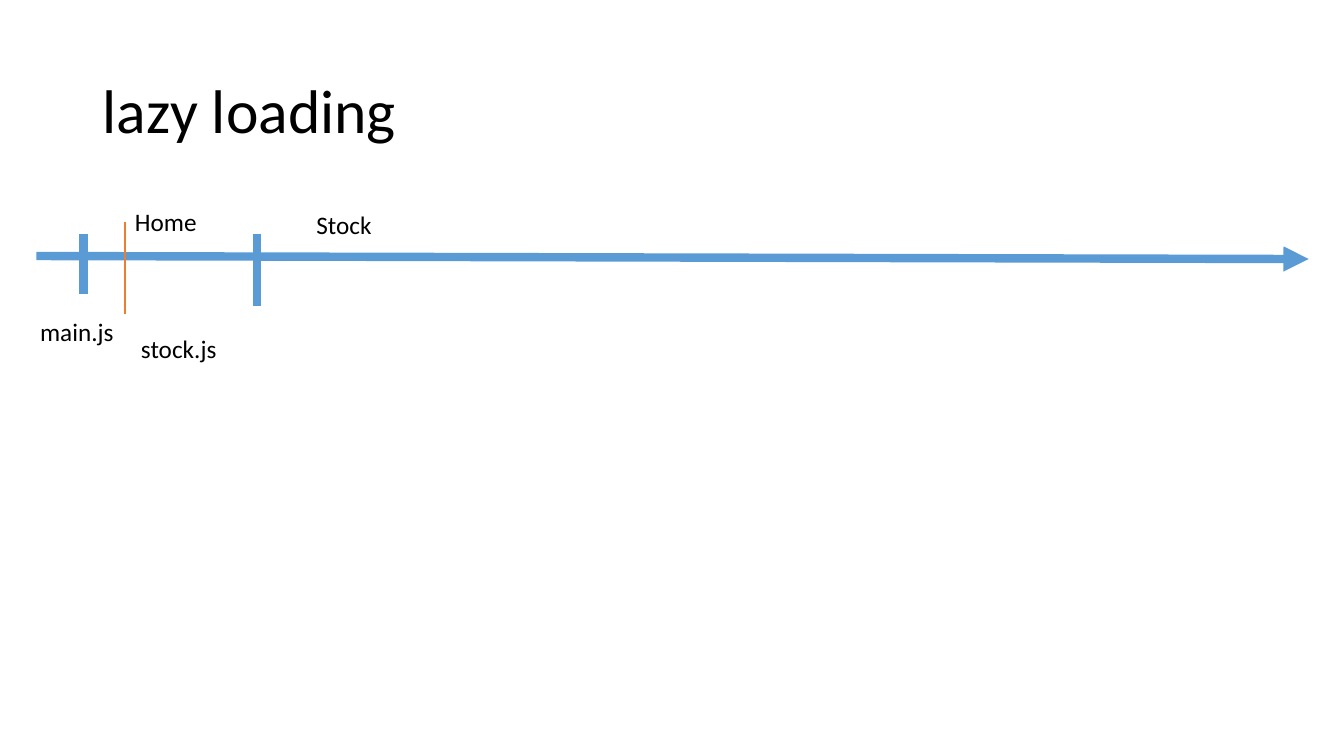
import pptx
import pptx.util
import pptx.dml.color
import pptx.enum.shapes
import pptx.enum.text
import pptx.oxml.ns
import lxml.etree

COLORS = {"text": "000000", "axis": "5B9BD5", "load": "ED7D31"}
FONT = "Calibri"
SLIDE_W, SLIDE_H = 13.33, 7.5
CELL = 0.1


def rgb(name):
    """Return the named colour."""
    return pptx.dml.color.RGBColor.from_string(COLORS[name])


def add_text(s, box, text, size, wrap):
    """Add a line of text in a box given in inches."""
    tb = s.shapes.add_textbox(*[pptx.util.Inches(v) for v in box])
    tf = tb.text_frame
    tf.text = text
    tf.word_wrap = wrap
    p = tf.paragraphs[0]
    font = p.runs[0].font
    font.name, font.size = FONT, pptx.util.Pt(size)
    font.color.rgb = rgb("text")
    return tf


def add_line(s, start, end, color, width, arrow=False):
    """Add a straight line, with an arrowhead at its end on request."""
    x1, y1, x2, y2 = [pptx.util.Inches(v) for v in (*start, *end)]
    kind = pptx.enum.shapes.MSO_CONNECTOR.STRAIGHT
    line = s.shapes.add_connector(kind, x1, y1, x2, y2)
    line.line.color.rgb = rgb(color)
    line.line.width = pptx.util.Pt(width)
    qn = pptx.oxml.ns.qn
    if arrow:
        ln = line.line._get_or_add_ln()
        lxml.etree.SubElement(ln, qn("a:tailEnd"), type="triangle")
    lxml.etree.SubElement(line._element.spPr, qn("a:effectLst"))


def add_title(s, box, text):
    """Add the slide title, centred vertically in its box."""
    tf = add_text(s, box, text, 44, True)
    tf.vertical_anchor = pptx.enum.text.MSO_ANCHOR.MIDDLE
    tf.paragraphs[0].line_spacing = 0.9


def add_timeline(s, left, top):
    """Draw the loading timeline on a grid of cells from its top left corner."""
    def at(col, row):
        """Turn a grid position into inches."""
        return left + col * CELL, top + row * CELL

    add_line(s, at(0.6, 5.4), at(126.8, 5.7), "axis", 6, arrow=True)
    marks = [
        (5.3, 3.2, 9.2, "axis", 6),
        (22.5, 3.2, 10.4, "axis", 6),
        (9.4, 2, 11.2, "load", 1.5),
    ]
    for col, first, last, color, width in marks:
        add_line(s, at(col, first), at(col, last), color, width)

    labels = [
        ("Home", 9.4, 0, 8.2),
        ("Stock", 27.4, 0.3, 7.5),
        ("main.js", 0, 10.9, 9.4),
        ("stock.js", 10, 12.6, 9.5),
    ]
    for text, col, row, cols in labels:
        add_text(s, (*at(col, row), cols * CELL, 4 * CELL), text, 18, False)


def main():
    """Build and save the slide."""
    prs = pptx.Presentation()
    prs.slide_width = pptx.util.Inches(SLIDE_W)
    prs.slide_height = pptx.util.Inches(SLIDE_H)
    s = prs.slides.add_slide(prs.slide_layouts[6])
    add_title(s, (0.92, 0.4, 11.5, 1.45), "lazy loading")
    add_timeline(s, 0.3, 2)
    prs.save("out.pptx")


if __name__ == "__main__":
    main()
